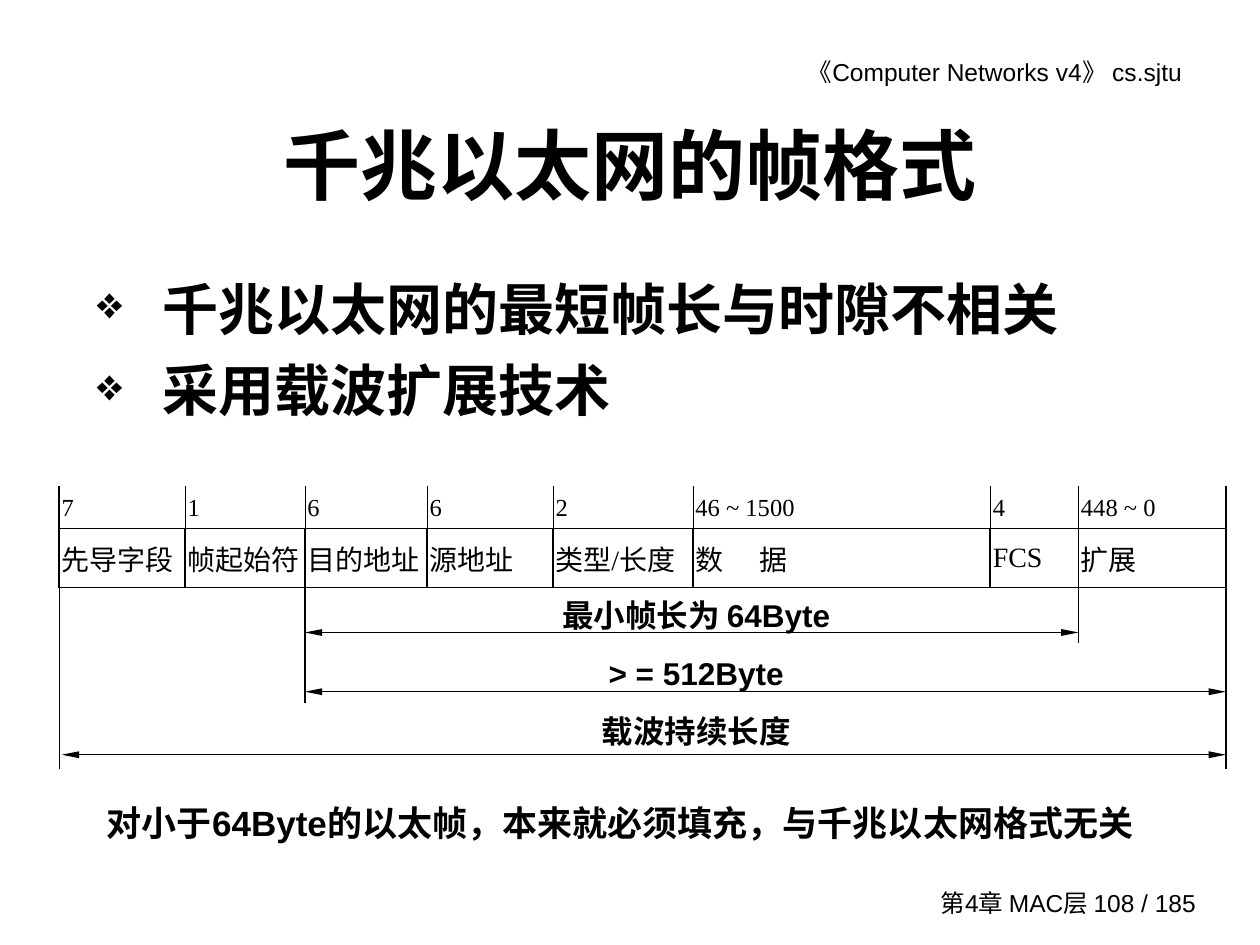
from itertools import accumulate

from lxml import etree
from pptx import Presentation
from pptx import util as u
from pptx.dml.color import RGBColor
from pptx.enum import shapes, text
from pptx.oxml import ns

BLACK = RGBColor(0x00, 0x00, 0x00)
SANS, SERIF = "Arial", "Times New Roman"
THIN, THICK = 0.45, 1.08

# Frame fields: width, byte count, name
FIELDS = [
    (1.0, "7", "先导字段"),
    (0.95, "1", "帧起始符"),
    (0.97, "6", "目的地址"),
    (1.0, "6", "源地址"),
    (1.11, "2", "类型/长度"),
    (2.36, "46 ~ 1500", "数\t据"),
    (0.7, "4", "FCS"),
    (1.17, "448 ~ 0", "扩展"),
]
TABLE_LEFT, TABLE_TOP = 0.47, 3.86
ROW_HEIGHTS = (0.28, 0.47)
EDGES = list(accumulate((width for width, _, _ in FIELDS), initial=TABLE_LEFT))
FRAME_START, ADDRESS_START, FCS_END, FRAME_END = EDGES[0], EDGES[2], EDGES[7], EDGES[8]


def add_element(parent, tag, **attributes):
    return etree.SubElement(parent, ns.qn(tag), attributes)


def style_runs(para, size, font=SANS, bold=False):
    for span in para.runs:
        span.font.size = u.Pt(size)
        span.font.name = font
        span.font.bold = bold
        span.font.color.rgb = BLACK


def add_text(page, area, lines, size, bold=False, align=text.PP_ALIGN.LEFT,
             anchor=text.MSO_ANCHOR.TOP, insets=(0.1, 0.05, 0.1, 0.05), spacing=None):
    box = page.shapes.add_textbox(*map(u.Inches, area))
    frame = box.text_frame
    frame.word_wrap = True
    frame.vertical_anchor = anchor
    (frame.margin_left, frame.margin_top,
     frame.margin_right, frame.margin_bottom) = map(u.Inches, insets)
    frame.text = "\n".join(lines)
    for para in frame.paragraphs:
        para.alignment = align
        if spacing:
            para.line_spacing = spacing
        style_runs(para, size, bold=bold)
    return frame


def add_bullets(frame, indent):
    for number, para in enumerate(frame.paragraphs):
        props = para._p.get_or_add_pPr()
        props.set("marL", str(u.Inches(indent)))
        props.set("indent", str(-u.Inches(indent)))
        if number:
            para.space_before = u.Pt(8)
        colour = add_element(props, "a:buClr")
        add_element(colour, "a:srgbClr", val=str(BLACK))
        add_element(props, "a:buSzPct", val="80000")
        add_element(props, "a:buChar", char="❖")


def add_line(page, start, end, arrows=False):
    line = page.shapes.add_connector(
        shapes.MSO_CONNECTOR.STRAIGHT, *map(u.Inches, (*start, *end)))
    line.line.color.rgb = BLACK
    line.line.width = u.Pt(0.75)
    if arrows:
        stroke = line.line._get_or_add_ln()
        for tag in ("a:headEnd", "a:tailEnd"):
            add_element(stroke, tag, type="triangle", w="sm", len="lg")
    add_element(line._element.spPr, "a:effectLst")


def set_borders(cell, **widths):
    props = cell._tc.get_or_add_tcPr()
    for side in "LRTB":
        width = widths[side]
        border = add_element(props, f"a:ln{side}", w=str(u.Pt(width)))
        if width:
            fill = add_element(border, "a:solidFill")
            add_element(fill, "a:srgbClr", val=str(BLACK))
        else:
            add_element(border, "a:noFill")


def add_frame_table(page):
    table = page.shapes.add_table(
        2, len(FIELDS), u.Inches(TABLE_LEFT), u.Inches(TABLE_TOP),
        u.Inches(FRAME_END - FRAME_START), u.Inches(sum(ROW_HEIGHTS))).table
    table.first_row = table.horz_banding = False
    for row, height in zip(table.rows, ROW_HEIGHTS):
        row.height = u.Inches(height)
    last = len(FIELDS) - 1
    for column, (width, *labels) in enumerate(FIELDS):
        table.columns[column].width = u.Inches(width)
        for row, label in enumerate(labels):
            cell = table.cell(row, column)
            cell.margin_left = cell.margin_right = u.Inches(0.02)
            cell.vertical_anchor = text.MSO_ANCHOR.MIDDLE if row else text.MSO_ANCHOR.BOTTOM
            inner = THICK if row else THIN
            set_borders(cell, L=inner if column else THICK,
                        R=inner if column < last else THICK,
                        T=THICK if row else 0, B=THICK)
            cell.fill.background()
            cell.text_frame.text = label
            para = cell.text_frame.paragraphs[0]
            if "\t" in label:
                tabs = add_element(para._p.get_or_add_pPr(), "a:tabLst")
                add_element(tabs, "a:tab", pos=str(u.Inches(0.51)), algn="l")
            style_runs(para, 16 if row else 14, SERIF)


def add_spans(page):
    # Vertical guides below the table
    for x, bottom in ((ADDRESS_START, 5.58), (FCS_END, 5.1),
                      (FRAME_END, 6.1), (FRAME_START, 6.1)):
        add_line(page, (x, 4.6), (x, bottom))
    # Double-headed length arrows
    for left, right, y in ((ADDRESS_START, FCS_END, 5.02),
                           (ADDRESS_START, FRAME_END, 5.49),
                           (FRAME_START + 0.02, FRAME_END, 5.99)):
        add_line(page, (left, y), (right, y), arrows=True)
    add_text(page, (4.13, 4.52, 2.79, 1.42),
             ["最小帧长为 64Byte", "> = 512Byte", "载波持续长度"],
             18, bold=True, align=text.PP_ALIGN.CENTER, spacing=1.54)


def main():
    deck = Presentation()
    deck.slide_width, deck.slide_height = u.Inches(10), u.Inches(7.5)
    page = deck.slides.add_slide(deck.slide_layouts[6])
    tight = (0.02, 0.01, 0.02, 0.01)

    # Running header and footer
    add_text(page, (5.36, 0.4, 4.23, 0.34), ["《Computer Networks v4》 cs.sjtu"], 14,
             align=text.PP_ALIGN.RIGHT, insets=(0.1, 0.05, 0.21, 0.05))
    add_text(page, (7.3, 7, 2.29, 0.33), ["第4章 MAC层 108 / 185"], 14,
             align=text.PP_ALIGN.RIGHT, anchor=text.MSO_ANCHOR.MIDDLE)

    # Title and bullet points
    add_text(page, (0.75, 0.67, 8.5, 1.25), ["千兆以太网的帧格式"], 44, bold=True,
             align=text.PP_ALIGN.CENTER, anchor=text.MSO_ANCHOR.MIDDLE, insets=tight)
    points = add_text(page, (0.75, 2.17, 8.5, 1.42),
                      ["千兆以太网的最短帧长与时隙不相关", "采用载波扩展技术"],
                      32, bold=True, insets=tight)
    add_bullets(points, 0.52)

    # Frame layout with its length spans
    add_spans(page)
    add_frame_table(page)

    # Closing remark
    add_text(page, (0.75, 6.31, 8.67, 0.44),
             ["对小于64Byte的以太帧，本来就必须填充，与千兆以太网格式无关"], 20, bold=True)
    deck.save("out.pptx")


if __name__ == "__main__":
    main()
